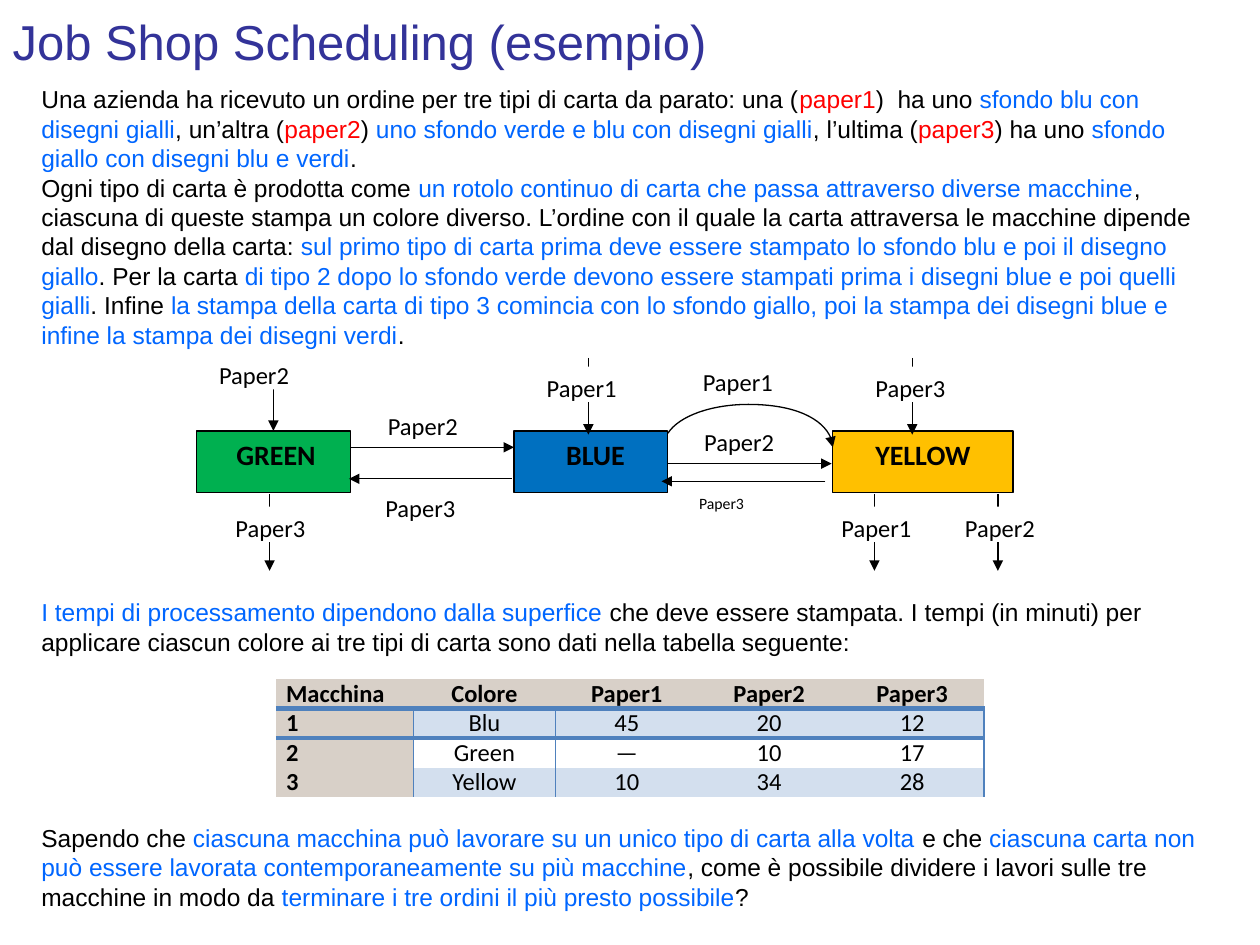
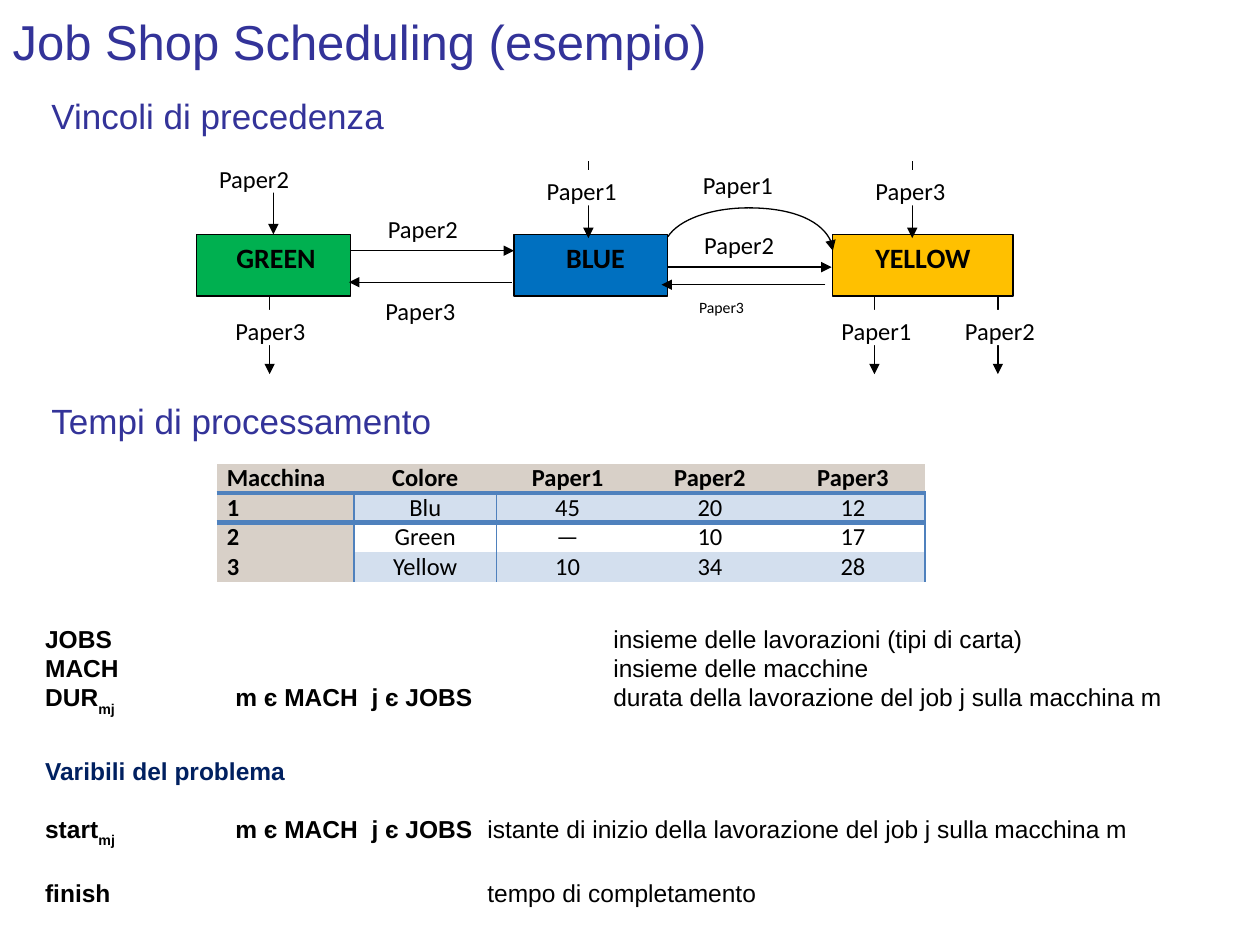
from lxml.etree import SubElement
from pptx import Presentation
from pptx.dml.color import RGBColor
from pptx.enum.shapes import MSO_CONNECTOR, MSO_SHAPE
from pptx.enum.text import MSO_ANCHOR as Anchor, PP_ALIGN as Align
from pptx.oxml.ns import qn
from pptx.util import Inches, Pt

BLACK = RGBColor(0, 0, 0)
WHITE = RGBColor(255, 255, 255)
INDIGO = RGBColor(0x33, 0x33, 0x99)
NAVY = RGBColor(0x00, 0x20, 0x60)
RED = RGBColor(255, 0, 0)
BLUE = RGBColor(0x00, 0x66, 0xFF)
GREEN_MACHINE = RGBColor(0x00, 0xB0, 0x50)
BLUE_MACHINE = RGBColor(0x00, 0x70, 0xC0)
YELLOW_MACHINE = RGBColor(0xFF, 0xC0, 0x00)
TABLE_HEAD = RGBColor(0xD8, 0xD0, 0xC8)
TABLE_BAND = RGBColor(0xD3, 0xDF, 0xEE)
TABLE_RULE = RGBColor(0x4F, 0x81, 0xBD)
NO_STYLE = "{2D5ABB26-0587-4C30-8999-92F81FD0307C}"

TITLE = "Job Shop Scheduling (esempio)"
MEMBERSHIP = "m є MACH  j є JOBS"
TIMES = [
    ["Macchina", "Colore", "Paper1", "Paper2", "Paper3"],
    ["1", "Blu", "45", "20", "12"],
    ["2", "Green", "—", "10", "17"],
    ["3", "Yellow", "10", "34", "28"],
]

# Diagram heights are measured from the top of the machines.
MACHINES = [  # name, left, width, colour, left margin
    ("GREEN", 1.56, 1.22, GREEN_MACHINE, 0.14),
    ("BLUE", 4.08, 1.22, BLUE_MACHINE, 0.17),
    ("YELLOW", 6.61, 1.43, YELLOW_MACHINE, 0.1),
]
ARROWS = [  # start x, start y, end x, end y
    (4.67, -0.58, 4.67, 0.03),
    (7.24, -0.58, 7.24, 0.03),
    (2.14, 0.5, 2.14, 1.11),
    (6.94, 0.5, 6.94, 1.11),
    (7.92, 0.5, 7.92, 1.11),
    (2.78, 0.13, 4.08, 0.13),
    (4.06, 0.38, 2.77, 0.38),
    (5.3, 0.26, 6.6, 0.26),
    (6.55, 0.4, 5.25, 0.4),
]
BEND = [(5.3, 0.02), (5.39, -0.12), (5.65, -0.21), (5.94, -0.21),
        (6.31, -0.21), (6.61, -0.06), (6.61, 0.13)]
LABELS = [  # text, left, top, size
    ("Paper2", 1.64, -0.61, 14),
    ("Paper1", 4.24, -0.51, 14),
    ("Paper3", 6.85, -0.51, 14),
    ("Paper3", 1.77, 0.6, 14),
    ("Paper1", 6.58, 0.6, 14),
    ("Paper2", 7.56, 0.6, 14),
    ("Paper2", 2.98, -0.21, 14),
    ("Paper3", 2.96, 0.44, 14),
    ("Paper1", 5.48, -0.56, 14),
    ("Paper2", 5.49, -0.08, 14),
    ("Paper3", 5.45, 0.45, 9),
]

ORDER_TEXT = [
    [("Una azienda ha ricevuto un ordine per tre tipi di carta da parato: una (", BLACK),
     ("paper1", RED), (")  ha uno ", BLACK),
     ("sfondo blu con disegni gialli", BLUE), (", un’altra (", BLACK),
     ("paper2", RED), (") ", BLACK),
     ("uno sfondo verde e blu con disegni gialli", BLUE), (", l’ultima (", BLACK),
     ("paper3", RED), (") ha uno ", BLACK),
     ("sfondo giallo con disegni blu e verdi", BLUE), (".", BLACK)],
    [("Ogni tipo di carta è prodotta come ", BLACK),
     ("un rotolo continuo di carta che passa attraverso diverse macchine", BLUE),
     (", ciascuna di queste stampa un colore diverso. L’ordine con il quale la carta "
      "attraversa le macchine dipende dal disegno della carta: ", BLACK),
     ("sul primo tipo di carta prima deve essere stampato lo sfondo blu e poi il "
      "disegno giallo", BLUE), (". Per la carta ", BLACK),
     ("di tipo 2 dopo lo sfondo verde devono essere stampati prima i disegni blue e "
      "poi quelli gialli", BLUE), (". Infine ", BLACK),
     ("la stampa della carta di tipo 3 comincia con lo sfondo giallo, poi la stampa "
      "dei disegni blue e infine la stampa dei disegni verdi", BLUE), (".", BLACK)],
]
TIMES_TEXT = [
    [("I tempi di processamento dipendono dalla superfice ", BLUE),
     ("che deve essere stampata. I tempi (in minuti) per applicare ciascun colore ai "
      "tre tipi di carta sono dati nella tabella seguente:", BLACK)],
]
QUESTION_TEXT = [
    [("Sapendo che ", BLACK),
     ("ciascuna macchina può lavorare su un unico tipo di carta alla volta ", BLUE),
     ("e che ", BLACK),
     ("ciascuna carta non può essere lavorata contemporaneamente su più macchine", BLUE),
     (", come è possibile dividere i lavori sulle tre macchine in modo da ", BLACK),
     ("terminare i tre ordini il più presto possibile", BLUE), ("?", BLACK)],
]


def add_span(para, text, size=14, colour=BLACK, bold=False, font="Arial", lowered=False):
    span = para.add_run()
    span.text = text
    span.font.name, span.font.size, span.font.bold = font, Pt(size), bold
    span.font.color.rgb = colour
    if lowered:
        span.font._element.set("baseline", "-30000")


def next_para(frame):
    """Return the empty first paragraph, or a new one after the last."""
    return frame.add_paragraph() if frame.paragraphs[0].runs else frame.paragraphs[0]


def add_text_frame(page, left, top, width, height):
    box = page.shapes.add_textbox(Inches(left), Inches(top), Inches(width), Inches(height))
    box.text_frame.word_wrap = True
    return box.text_frame


def add_title(page):
    title = page.shapes.title
    title.left, title.top = Inches(0), Inches(-0.03)
    title.width, title.height = Inches(10), Inches(0.71)
    title.text_frame.vertical_anchor = Anchor.MIDDLE
    para = title.text_frame.paragraphs[0]
    para.alignment = Align.LEFT
    add_span(para, TITLE, 28, INDIGO)


def add_heading(page, text, top):
    frame = add_text_frame(page, 0.31, top, 9.14, 0.47)
    add_span(frame.paragraphs[0], text, 20, INDIGO)


def add_prose(page, paragraphs, top, height):
    frame = add_text_frame(page, 0.23, top, 9.53, height)
    for spans in paragraphs:
        para = next_para(frame)
        for text, colour in spans:
            add_span(para, text, colour=colour)


def add_definition(frame, term, index, condition, meaning, meaning_stop):
    """Add a line of three columns: term with index, condition, meaning."""
    para = next_para(frame)
    tabs = SubElement(para._p.get_or_add_pPr(), qn("a:tabLst"))
    for stop in (1.51, meaning_stop):
        SubElement(tabs, qn("a:tab"), pos=str(Inches(stop)), algn="l")
    add_span(para, term, bold=True)
    if index:
        add_span(para, index, bold=True, lowered=True)
    add_span(para, f"\t{condition}\t", bold=True)
    add_span(para, meaning)
    return para


def add_rectangle(group, left, top, width, height, fill):
    box = group.shapes.add_shape(MSO_SHAPE.RECTANGLE, Inches(left), Inches(top),
                                 Inches(width), Inches(height))
    box.shadow.inherit = False
    box.fill.solid()
    box.fill.fore_color.rgb = fill
    box.line.fill.background()
    box.text_frame.vertical_anchor = Anchor.TOP
    return box


def add_machine(group, name, left, top, width, fill, margin):
    box = add_rectangle(group, left, top, width, 0.49, fill)
    box.line.color.rgb = BLACK
    box.line.width = Pt(0.75)
    box.text_frame.margin_left = Inches(margin)
    para = box.text_frame.paragraphs[0]
    para.alignment = Align.CENTER
    add_span(para, name, 16, bold=True, font="Calibri")
    return box


def add_label(group, text, left, top, size):
    box = add_rectangle(group, left, top, 0.8, 0.28, WHITE)
    para = box.text_frame.paragraphs[0]
    para.alignment = Align.LEFT
    add_span(para, text, size, font="Calibri")


def style_arrow(line_shape):
    line_shape.line.color.rgb = BLACK
    line_shape.line.width = Pt(0.75)
    outline = line_shape._element.spPr.find(qn("a:ln"))
    SubElement(outline, qn("a:tailEnd"), type="triangle")


def add_arrow(group, start_x, start_y, end_x, end_y):
    arrow = group.shapes.add_connector(MSO_CONNECTOR.STRAIGHT, Inches(start_x),
                                       Inches(start_y), Inches(end_x), Inches(end_y))
    style_arrow(arrow)
    SubElement(arrow._element.spPr, qn("a:effectLst"))
    return arrow


def add_curved_arrow(group, points):
    """Draw Bezier curves through a start point and triples of control points."""
    start, *rest = [(Inches(x), Inches(y)) for x, y in points]
    builder = group.shapes.build_freeform(*start)
    builder.add_line_segments(rest, close=False)
    curve = builder.convert_to_shape()
    curve.shadow.inherit = False
    curve.fill.background()
    style_arrow(curve)
    outline = next(curve._element.iter(qn("a:path")))
    segments = outline.findall(qn("a:lnTo"))
    for first in range(0, len(segments), 3):
        bezier = SubElement(outline, qn("a:cubicBezTo"))
        for segment in segments[first:first + 3]:
            bezier.append(segment[0])
            outline.remove(segment)


def add_flow_diagram(page, top):
    group = page.shapes.add_group_shape()
    machines = [add_machine(group, name, left, top, width, fill, margin)
                for name, left, width, fill, margin in MACHINES]
    into_green = add_arrow(group, 2.17, top - 0.6, 2.17, top)
    into_green.end_connect(machines[0], 0)
    for start_x, start_y, end_x, end_y in ARROWS:
        add_arrow(group, start_x, top + start_y, end_x, top + end_y)
    add_curved_arrow(group, [(x, top + y) for x, y in BEND])
    for text, left, offset, size in LABELS:
        add_label(group, text, left, top + offset, size)


def add_border(cell, side, width):
    edge = SubElement(cell._tc.get_or_add_tcPr(), qn(f"a:ln{side}"), w=str(Pt(width)))
    fill = SubElement(edge, qn("a:solidFill"))
    SubElement(fill, qn("a:srgbClr"), val=str(TABLE_RULE))


def format_cell(cell, text, row, column):
    cell.margin_left = cell.margin_right = Inches(0.08)
    cell.margin_top = cell.margin_bottom = 0
    para = cell.text_frame.paragraphs[0]
    para.alignment = Align.CENTER if column else Align.LEFT
    add_span(para, text, bold=row == 0 or column == 0, font="Calibri")
    if row and column == 1:
        add_border(cell, "L", 1)
    if row and column in (0, 4):
        add_border(cell, "R", 1)
    if row == 1:
        add_border(cell, "T", 3)
    if row == 0:
        add_border(cell, "B", 3)
    if row == 2 and column:
        cell.fill.background()
    else:
        cell.fill.solid()
        cell.fill.fore_color.rgb = TABLE_BAND if row and column else TABLE_HEAD


def add_times_table(page, left, top):
    table = page.shapes.add_table(len(TIMES), len(TIMES[0]), Inches(left), Inches(top),
                                  Inches(5.62), Inches(0.93)).table
    table.first_row = table.horz_banding = False
    table._tbl.tblPr.find(qn("a:tableStyleId")).text = NO_STYLE
    for column, width in zip(table.columns, (1.09, 1.13, 1.13, 1.13, 1.14)):
        column.width = Inches(width)
    for row, texts in enumerate(TIMES):
        table.rows[row].height = Inches(0.23)
        for column, text in enumerate(texts):
            format_cell(table.cell(row, column), text, row, column)


def add_page(deck):
    page = deck.slides.add_slide(deck.slide_layouts[5])
    add_title(page)
    return page


def build_problem(deck):
    page = add_page(deck)
    add_prose(page, ORDER_TEXT, 0.62, 2.22)
    add_flow_diagram(page, 3.42)
    add_prose(page, TIMES_TEXT, 4.69, 0.57)
    add_times_table(page, 2.19, 5.39)
    add_prose(page, QUESTION_TEXT, 6.48, 0.81)


def build_model(deck):
    page = add_page(deck)
    add_heading(page, "Vincoli di precedenza", 0.7)
    add_flow_diagram(page, 1.86)
    add_heading(page, "Tempi di processamento", 3.12)
    add_times_table(page, 1.72, 3.68)

    data = add_text_frame(page, 0.26, 4.9, 9.74, 0.81)
    add_definition(data, "JOBS", "", "", "insieme delle lavorazioni (tipi di carta)", 4.51)
    add_definition(data, "MACH", "", "", "insieme delle macchine", 4.51)
    add_definition(data, "DUR", "mj", MEMBERSHIP,
                   "durata della lavorazione del job j sulla macchina m", 4.51)

    variables = add_text_frame(page, 0.26, 5.95, 9.5, 1.4)
    add_span(variables.paragraphs[0], "Varibili del problema", colour=NAVY, bold=True)
    start = add_definition(variables, "start", "mj", MEMBERSHIP,
                           "istante di inizio della lavorazione del job j sulla macchina m",
                           3.51)
    finish = add_definition(variables, "finish", "", "", "tempo di completamento", 3.51)
    start.space_before = finish.space_before = Pt(16.5)


def main():
    deck = Presentation()
    deck.slide_width, deck.slide_height = Inches(10), Inches(7.5)
    build_problem(deck)
    build_model(deck)
    deck.save("out.pptx")


if __name__ == "__main__":
    main()
